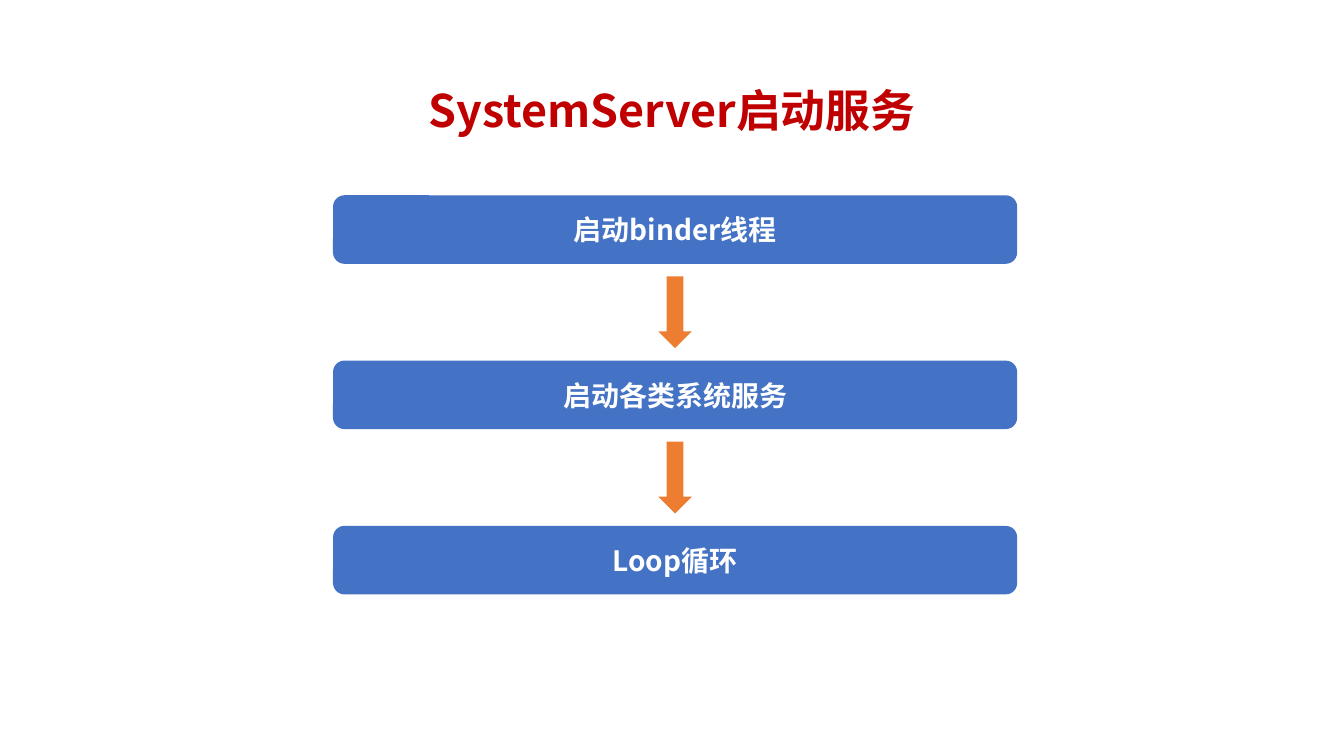
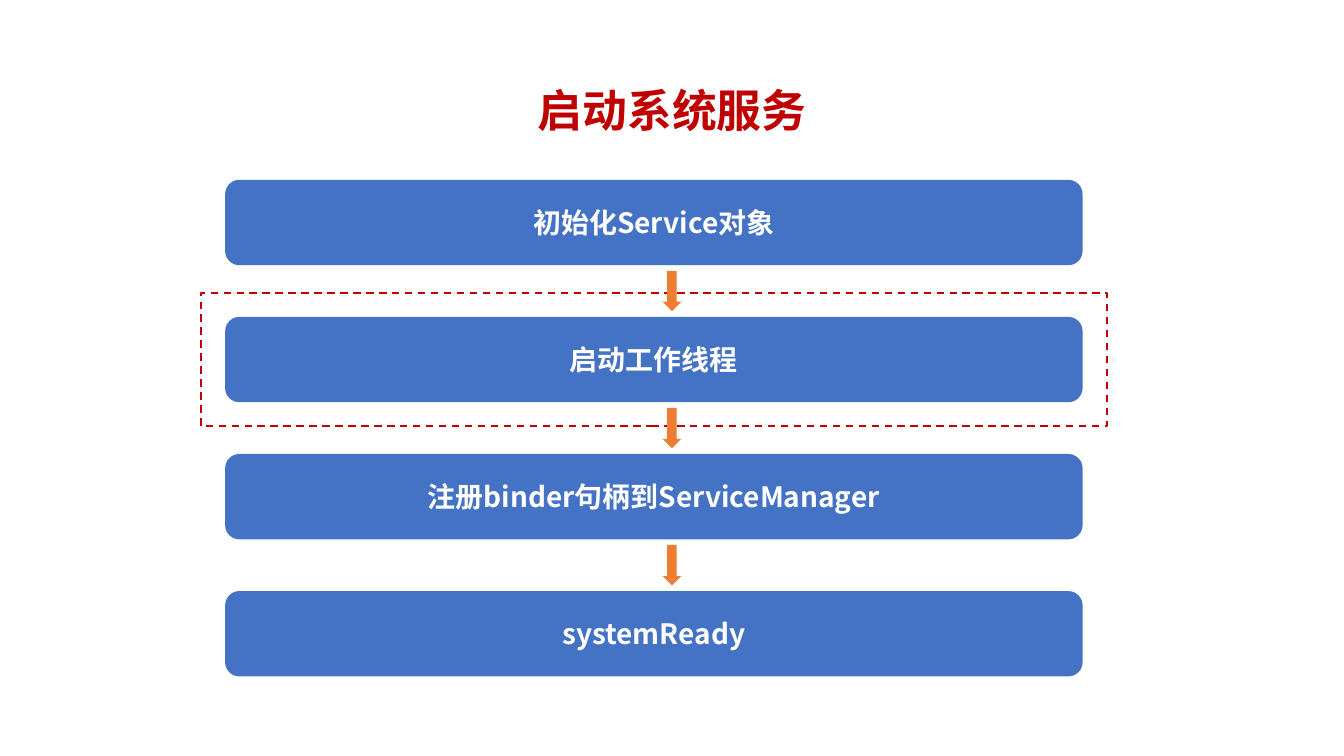
from collections import namedtuple

from lxml.etree import SubElement
from pptx import Presentation
from pptx.dml.color import RGBColor
from pptx.enum.dml import MSO_LINE
from pptx.enum.shapes import MSO_SHAPE
from pptx.enum.text import MSO_ANCHOR, PP_ALIGN
from pptx.oxml.ns import qn
from pptx.util import Inches, Pt

# Shared grid: square cells, ten to the inch, on a 16:9 page
COLUMNS, ROWS, CELL = 100, 56.25, 0.1
Box = namedtuple("Box", "left top width height")
PAGE = Box(0, 0, COLUMNS, ROWS)

# Shared look
COLORS = {
    "title": "C00000",
    "step": "4472C4",
    "step_text": "FFFFFF",
    "arrow": "ED7D31",
    "highlight": "C00000",
}
FONT = "Noto Sans CJK SC"
TITLE_FORMAT = {"name": FONT, "size": Pt(24), "bold": True}
STEP_FORMAT = {"name": FONT, "size": Pt(15), "bold": True}
FRAME_FORMAT = {"word_wrap": True, "vertical_anchor": MSO_ANCHOR.MIDDLE}
HIGHLIGHT_FORMAT = {"width": Pt(1), "dash_style": MSO_LINE.DASH}


def color(name):
    return RGBColor.from_string(COLORS[name])


def place(box):
    return [Inches(cells * CELL) for cells in box]


def apply_format(target, values):
    for name, value in values.items():
        setattr(target, name, value)


def write(frame, words, font_format, color_name, line_spacing=1.0):
    apply_format(frame, FRAME_FORMAT)
    paragraph = frame.paragraphs[0]
    apply_format(paragraph, {"alignment": PP_ALIGN.CENTER,
                             "line_spacing": line_spacing})
    run = paragraph.add_run()
    run.text = words
    apply_format(run.font, font_format)
    run.font.color.rgb = color(color_name)
    # Chinese characters take the East Asian typeface
    SubElement(run.font._element, qn("a:ea"), typeface=FONT)


def add_solid(slide, preset, box, color_name):
    solid = slide.shapes.add_shape(preset, *place(box))
    solid.shadow.inherit = False
    solid.fill.solid()
    solid.fill.fore_color.rgb = color(color_name)
    solid.line.fill.background()
    return solid


def add_title(slide, page, words):
    margin = 6.9
    box = Box(page.left + margin, page.top + 2.95,
              page.width - 2 * margin, 10.9)
    heading = slide.shapes.add_textbox(*place(box))
    write(heading.text_frame, words, TITLE_FORMAT, "title", line_spacing=0.9)


def add_highlight(slide, step_box, margin=1.8):
    box = Box(step_box.left - margin, step_box.top - margin,
              step_box.width + 2 * margin, step_box.height + 2 * margin)
    outline = slide.shapes.add_shape(MSO_SHAPE.RECTANGLE, *place(box))
    outline.shadow.inherit = False
    outline.fill.background()
    outline.line.color.rgb = color("highlight")
    apply_format(outline.line, HIGHLIGHT_FORMAT)


def add_flow(slide, box, steps, step_height, arrow_size, arrow_axis,
             highlighted=None):
    """Stack the steps evenly in the box, with an arrow in each gap."""
    pitch = (box.height - step_height) / (len(steps) - 1)
    step_boxes = [Box(box.left, box.top + index * pitch, box.width, step_height)
                  for index in range(len(steps))]

    # Steps
    for step_box, words in zip(step_boxes, steps):
        step = add_solid(slide, MSO_SHAPE.ROUNDED_RECTANGLE, step_box, "step")
        write(step.text_frame, words, STEP_FORMAT, "step_text")

    # Dashed outline around the step in focus
    if highlighted is not None:
        add_highlight(slide, step_boxes[highlighted])

    # Arrows, centred in the gaps
    arrow_width, arrow_height = arrow_size
    inset = (pitch - step_height - arrow_height) / 2
    for step_box in step_boxes[:-1]:
        arrow_box = Box(box.left + arrow_axis - arrow_width / 2,
                        step_box.top + step_height + inset,
                        arrow_width, arrow_height)
        add_solid(slide, MSO_SHAPE.DOWN_ARROW, arrow_box, "arrow")


FLOWS = [
    {
        "title": "SystemServer启动服务",
        "box": Box(24.78, 14.53, 50.9, 29.7),
        "steps": ["启动binder线程", "启动各类系统服务", "Loop循环"],
        "step_height": 5.1,
        "arrow_size": (2.5, 5.35),
        "arrow_axis": 25.45,
    },
    {
        "title": "启动系统服务",
        "box": Box(16.75, 13.38, 63.8, 36.95),
        "steps": ["初始化Service对象", "启动工作线程",
                  "注册binder句柄到ServiceManager", "systemReady"],
        "step_height": 6.35,
        "arrow_size": (1.4, 3),
        "arrow_axis": 33.25,
        "highlighted": 1,
    },
]


def add_flow_slide(presentation, title, **flow):
    slide = presentation.slides.add_slide(presentation.slide_layouts[6])
    add_title(slide, PAGE, title)
    add_flow(slide, **flow)


def main():
    presentation = Presentation()
    presentation.slide_width = Inches(COLUMNS * CELL)
    presentation.slide_height = Inches(ROWS * CELL)
    for flow in FLOWS:
        add_flow_slide(presentation, **flow)
    presentation.save("out.pptx")


if __name__ == "__main__":
    main()
